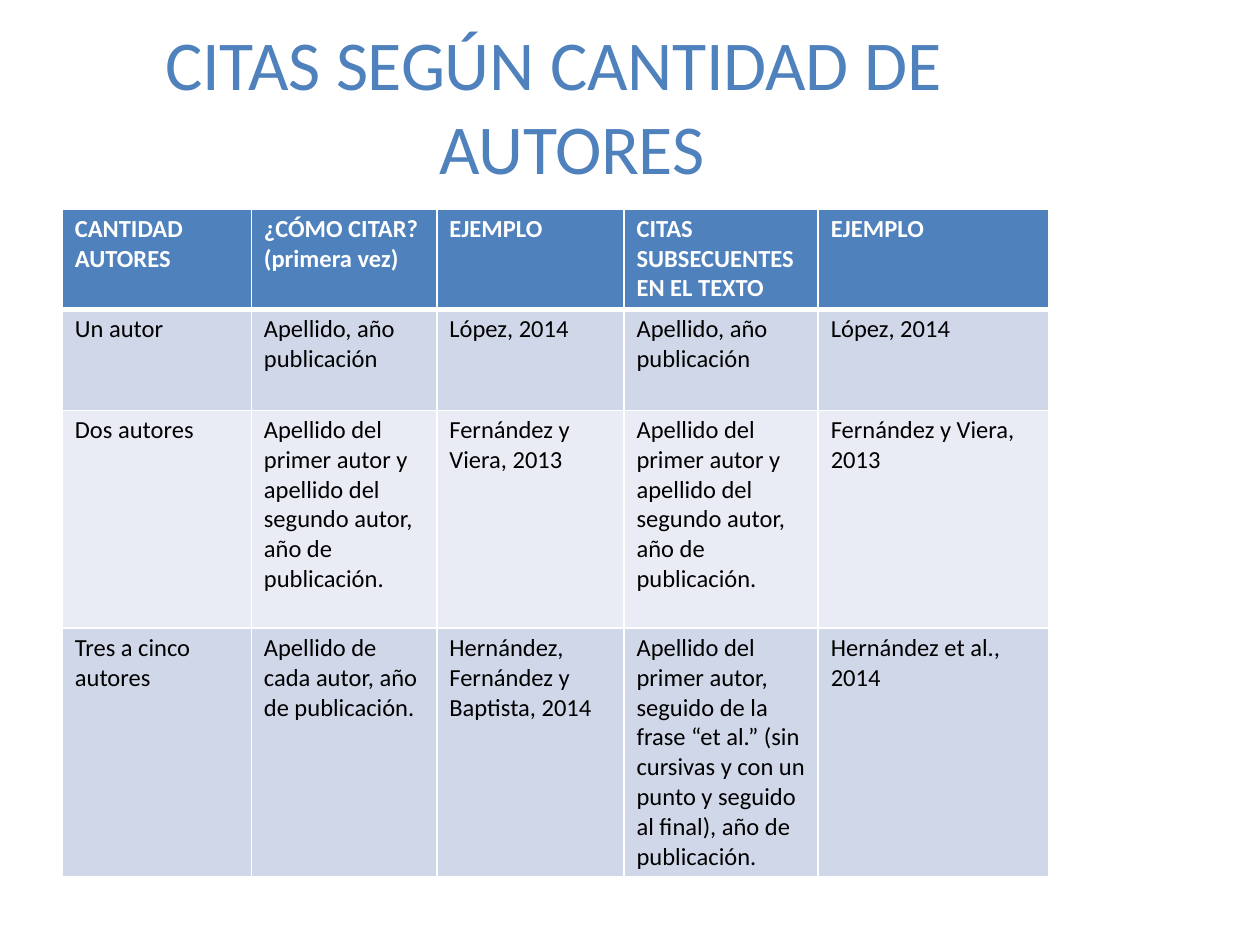
from dataclasses import dataclass

from lxml import etree
from pptx import Presentation
from pptx import util as u
from pptx.dml.color import RGBColor
from pptx.enum import text
from pptx.oxml.ns import qn


@dataclass(frozen=True)
class Theme:
    font: str = "Calibri"
    accent: str = "4F81BC"
    white: str = "FFFFFF"
    ink: str = "000000"
    band_dark: str = "D0D7E8"
    band_light: str = "E9ECF4"
    title_size: float = 40
    cell_size: float = 14
    rule: float = 1
    header_rule: float = 3


@dataclass(frozen=True)
class Column:
    width: float
    right_margin: float = 6


@dataclass(frozen=True)
class CitationRow:
    height: float
    fill: str
    color: str
    entries: tuple[str, ...]
    bold: bool = False


THEME = Theme()
COLUMNS = (Column(108), Column(106, 9), Column(107), Column(111), Column(132))
ONE_AUTHOR = "Apellido, año publicación"
TWO_AUTHORS = "Apellido del primer autor y apellido del segundo autor, año de publicación."
ROWS = (
    CitationRow(57.5, THEME.accent, THEME.white, (
        "CANTIDAD AUTORES", "¿CÓMO CITAR?\n(primera vez)", "EJEMPLO",
        "CITAS SUBSECUENTES EN EL TEXTO", "EJEMPLO"), bold=True),
    CitationRow(57.5, THEME.band_dark, THEME.ink, (
        "Un autor", ONE_AUTHOR, "López, 2014", ONE_AUTHOR, "López, 2014")),
    CitationRow(124.5, THEME.band_light, THEME.ink, (
        "Dos autores", TWO_AUTHORS, "Fernández y Viera, 2013",
        TWO_AUTHORS, "Fernández y Viera, 2013")),
    CitationRow(142, THEME.band_dark, THEME.ink, (
        "Tres a cinco autores", "Apellido de cada autor, año de publicación.",
        "Hernández, Fernández y Baptista, 2014",
        "Apellido del primer autor, seguido de la frase “et al.” (sin cursivas y con "
        "un punto y seguido al final), año de publicación.",
        "Hernández et al., 2014")),
)


def apply(target, values: dict) -> None:
    for name, value in values.items():
        setattr(target, name, value)


def style_font(font, size: float, color: str, bold: bool = False) -> None:
    apply(font, {"name": THEME.font, "size": u.Pt(size), "bold": bold})
    font.color.rgb = RGBColor.from_string(color)


def add_borders(cell, widths: dict[str, float]) -> None:
    """Put white rules around a cell, ahead of its fill as the schema asks."""
    properties = cell._tc.get_or_add_tcPr()
    for index, (side, width) in enumerate(widths.items()):
        line = etree.Element(qn(f"a:{side}"), w=str(u.Pt(width)))
        fill = etree.SubElement(line, qn("a:solidFill"))
        etree.SubElement(fill, qn("a:srgbClr"), val=THEME.white)
        properties.insert(index, line)


def draw_title(slide, heading: str) -> None:
    title = slide.shapes.title
    apply(title, {"left": u.Pt(94.5), "top": u.Pt(10.8),
                  "width": u.Pt(449), "height": u.Pt(98)})
    frame = title.text_frame
    frame.text = heading
    apply(frame, {"margin_left": 0, "margin_top": u.Pt(0.9), "margin_right": 0,
                  "margin_bottom": 0, "word_wrap": True,
                  "vertical_anchor": text.MSO_ANCHOR.TOP,
                  "auto_size": text.MSO_AUTO_SIZE.SHAPE_TO_FIT_TEXT})
    paragraph = frame.paragraphs[0]
    apply(paragraph, {"alignment": text.PP_ALIGN.LEFT, "space_before": u.Pt(0.9)})
    # Hanging indent that centres the second line under the first
    hang = u.Pt(156.5)
    properties = paragraph._p.get_or_add_pPr()
    properties.set("marL", str(hang))
    properties.set("indent", str(-hang))
    run = paragraph.runs[0]
    style_font(run.font, THEME.title_size, THEME.accent)
    run._r.get_or_add_rPr().set("spc", "-10")


def draw_cell(cell, entry: str, row: CitationRow, column: Column) -> None:
    cell.text = entry
    apply(cell, {"margin_left": u.Pt(7.2), "margin_right": u.Pt(column.right_margin),
                 "margin_top": u.Pt(2.8), "margin_bottom": 0,
                 "vertical_anchor": text.MSO_ANCHOR.TOP})
    cell.fill.solid()
    cell.fill.fore_color.rgb = RGBColor.from_string(row.fill)
    for paragraph in cell.text_frame.paragraphs:
        for run in paragraph.runs:
            style_font(run.font, THEME.cell_size, row.color, row.bold)


def draw_citations(slide) -> None:
    citations = slide.shapes.add_table(
        len(ROWS), len(COLUMNS), u.Pt(35.6), u.Pt(119.5),
        u.Pt(sum(c.width for c in COLUMNS)), u.Pt(sum(r.height for r in ROWS))).table
    citations.horz_banding = False
    for index, column in enumerate(COLUMNS):
        citations.columns[index].width = u.Pt(column.width)
    for y, row in enumerate(ROWS):
        citations.rows[y].height = u.Pt(row.height)
        # The rule between the header and the body is thicker
        top = THEME.header_rule if y == 1 else THEME.rule
        bottom = THEME.header_rule if y == 0 else THEME.rule
        widths = {"lnL": THEME.rule, "lnR": THEME.rule, "lnT": top, "lnB": bottom}
        for x, (entry, column) in enumerate(zip(row.entries, COLUMNS)):
            cell = citations.cell(y, x)
            draw_cell(cell, entry, row, column)
            add_borders(cell, widths)


def main() -> None:
    deck = Presentation()
    apply(deck, {"slide_width": u.Pt(720), "slide_height": u.Pt(540)})
    slide = deck.slides.add_slide(deck.slide_layouts[5])  # title only
    draw_title(slide, "CITAS SEGÚN CANTIDAD DE AUTORES")
    draw_citations(slide)
    deck.save("out.pptx")


if __name__ == "__main__":
    main()
